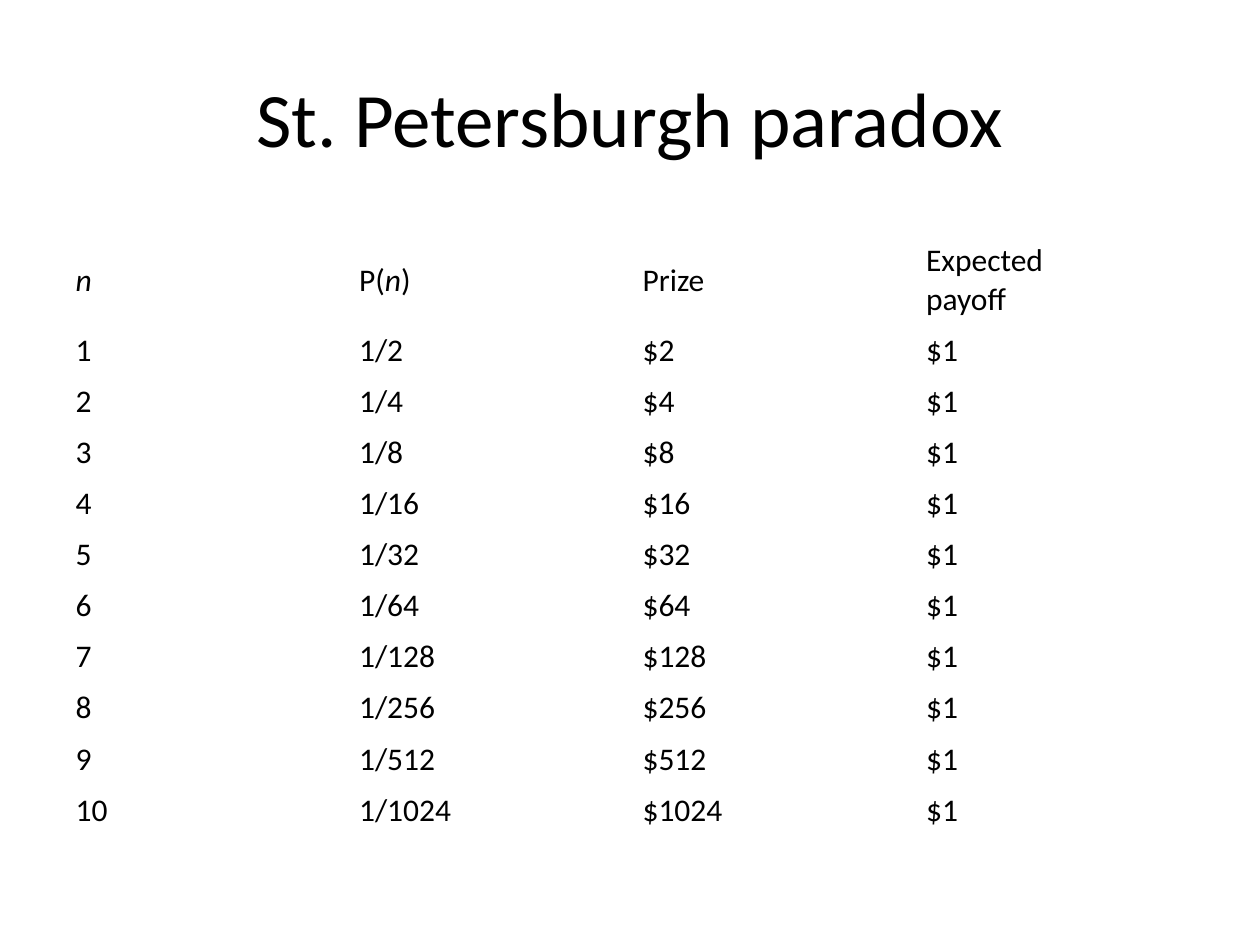
from dataclasses import dataclass

from pptx import Presentation
from pptx import util as u
from pptx.dml import color
from pptx.enum import text


@dataclass(frozen=True)
class Theme:
    font: str = "Calibri"
    ink: color.RGBColor = color.RGBColor(0, 0, 0)
    head: int = 44
    body: int = 18


THEME = Theme()
COUNT = 10
HEAD_H, ROW_H = 1.8, 1.03


def add_run(para, words, size, slant=False):
    run = para.add_run()
    run.text = words
    font = run.font
    font.name, font.size = THEME.font, u.Pt(size)
    font.bold, font.italic = False, slant
    font.color.rgb = THEME.ink


def add_title(slide, box, words):
    frame = slide.shapes.add_textbox(*map(u.Cm, box)).text_frame
    frame.word_wrap = True
    frame.vertical_anchor = text.MSO_ANCHOR.MIDDLE
    para = frame.paragraphs[0]
    para.alignment = text.PP_ALIGN.CENTER
    add_run(para, words, THEME.head)


def fill_cell(cell, parts):
    """Write (words, italic) parts; a part of None breaks the line."""
    cell.fill.background()
    cell.vertical_anchor = text.MSO_ANCHOR.MIDDLE
    para = cell.text_frame.paragraphs[0]
    for part in parts:
        if part is None:
            para.add_line_break()
        else:
            add_run(para, part[0], THEME.body, part[1])


def add_grid(slide, box, rows):
    left, top, width, height = map(u.Cm, box)
    grid = slide.shapes.add_table(
        len(rows), len(rows[0]), left, top, width, height).table
    grid.first_row = grid.horz_banding = False
    for r, row in enumerate(rows):
        grid.rows[r].height = u.Cm(ROW_H if r else HEAD_H)
        for c, parts in enumerate(row):
            fill_cell(grid.cell(r, c), parts)


def payoff_rows():
    head = [
        [("n", True)],
        [("P(", False), ("n", True), (")", False)],
        [("Prize", False)],
        [("Expected", False), None, ("payoff", False)],
    ]
    # Each prize doubles as its chance halves
    body = [
        [[(words, False)] for words in (f"{n}", f"1/{2 ** n}", f"${2 ** n}", "$1")]
        for n in range(1, COUNT + 1)
    ]
    return [head] + body


def main():
    deck = Presentation()
    deck.slide_width, deck.slide_height = u.Cm(25.4), u.Cm(19.05)
    slide = deck.slides.add_slide(deck.slide_layouts[6])

    # Title
    add_title(slide, (1.27, 0.76, 22.86, 3.18), "St. Petersburgh paradox")

    # Payoff table
    add_grid(slide, (1.27, 4.75, 22.86, HEAD_H + COUNT * ROW_H), payoff_rows())

    deck.save("out.pptx")


if __name__ == "__main__":
    main()
